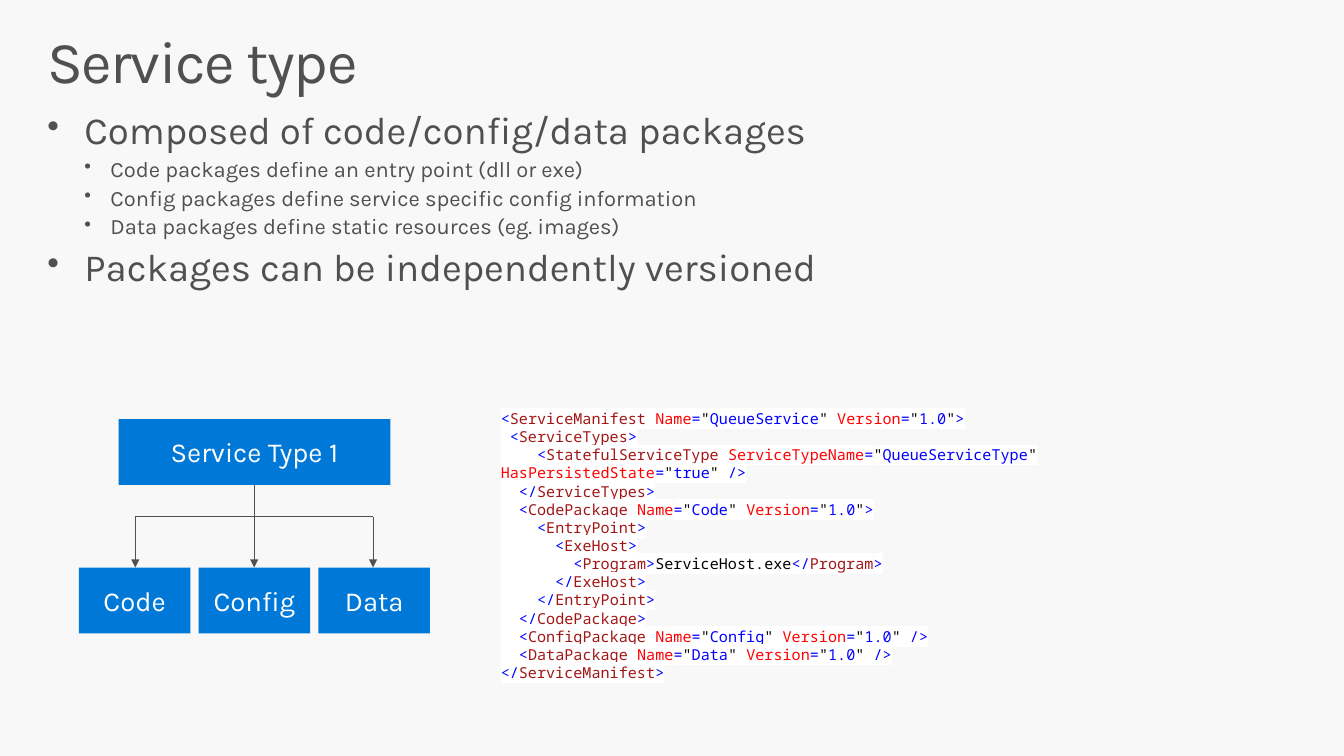
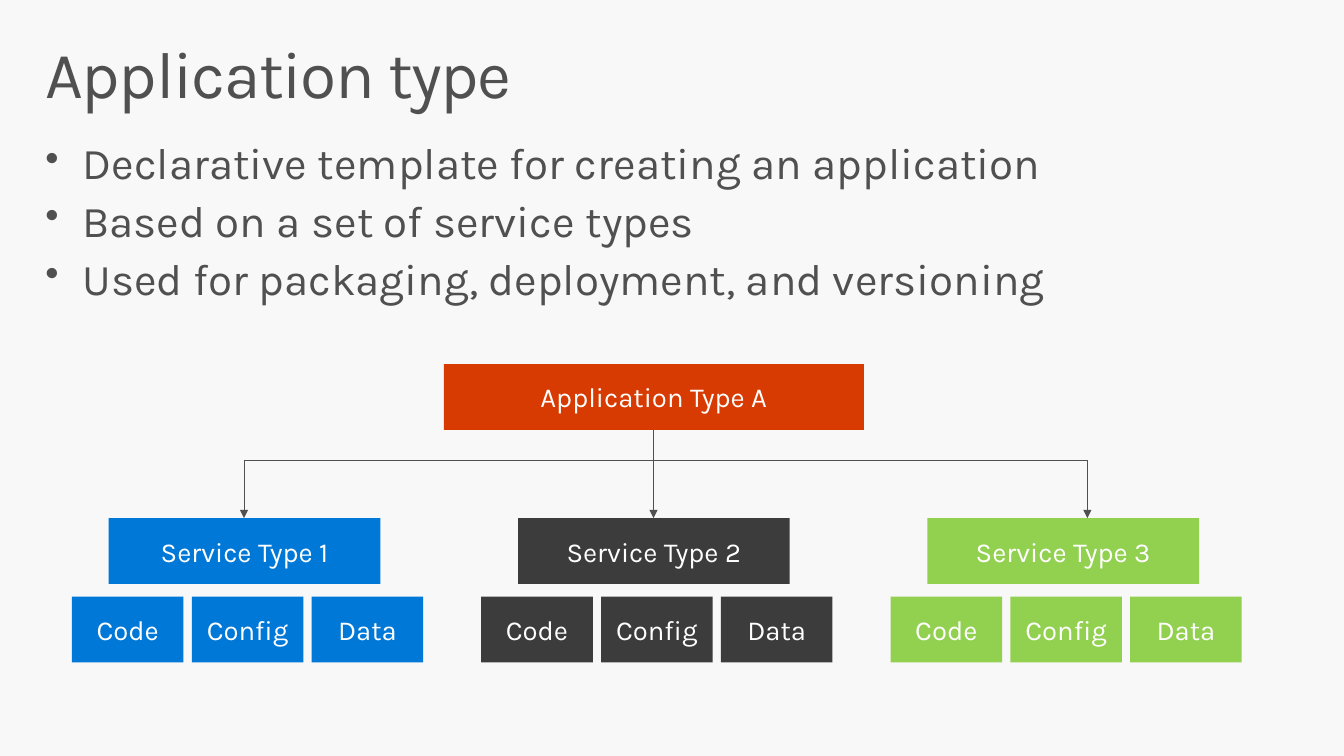
from itertools import groupby

from lxml import etree
from pptx import Presentation
from pptx.dml.color import RGBColor
from pptx.enum.shapes import MSO_CONNECTOR, MSO_SHAPE
from pptx.enum.text import MSO_ANCHOR, PP_ALIGN
from pptx.oxml.ns import qn
from pptx.util import Pt

RECTANGLE = MSO_SHAPE.RECTANGLE
STRAIGHT = MSO_CONNECTOR.STRAIGHT
MIDDLE = MSO_ANCHOR.MIDDLE
CENTER = PP_ALIGN.CENTER

COLORS = {
    "background": "F8F8F8", "ink": "505050", "white": "FFFFFF",
    "blue": "0078D7", "orange": "D83B01", "charcoal": "3C3C3C", "green": "92D050",
    # Syntax colours
    "markup": "0000FF", "element": "A31515", "attribute": "FF0000", "text": "000000",
}
FONT, CODE_FONT = "Karla", "Noto Sans Mono"
BLANK_LAYOUT = 6
BOX_HEIGHT = 48
SERVICE_WIDTH, PACKAGE_WIDTH, PACKAGE_GAP = 198, 81.3, 6
PACKAGES = ["Code", "Config", "Data"]
PLACEHOLDER_INSETS = (11.5, 7.2)
# Bullet level: (left margin, first-line indent)
BULLET_INDENTS = [(27, -27), (46, -19)]

MANIFEST = """\
<ServiceManifest Name="QueueService" Version="1.0">
 <ServiceTypes>
    <StatefulServiceType ServiceTypeName="QueueServiceType" HasPersistedState="true" />
  </ServiceTypes>
  <CodePackage Name="Code" Version="1.0">
    <EntryPoint>
      <ExeHost>
        <Program>ServiceHost.exe</Program>
      </ExeHost>
    </EntryPoint>
  </CodePackage>
  <ConfigPackage Name="Config" Version="1.0" />
  <DataPackage Name="Data" Version="1.0" />
</ServiceManifest>"""


def rgb(name):
    return RGBColor.from_string(COLORS[name])


def add_run(paragraph, text, size, color="ink", font=FONT, spacing=None, highlight=None):
    run = paragraph.add_run()
    run.text = text
    run.font.name = font
    run.font.size = Pt(size)
    run.font.color.rgb = rgb(color)
    properties = run.font._element
    if spacing is not None:
        properties.set("spc", str(spacing * 100))
    if highlight:
        mark = etree.Element(qn("a:highlight"))
        etree.SubElement(mark, qn("a:srgbClr")).set("val", COLORS[highlight])
        properties.find(qn("a:solidFill")).addnext(mark)


def set_insets(frame, horizontal, vertical):
    frame.word_wrap = True
    frame.margin_left = frame.margin_right = Pt(horizontal)
    frame.margin_top = frame.margin_bottom = Pt(vertical)


def add_text_frame(slide, left, top, width, height, insets=PLACEHOLDER_INSETS):
    shape = slide.shapes.add_textbox(Pt(left), Pt(top), Pt(width), Pt(height))
    set_insets(shape.text_frame, *insets)
    return shape.text_frame


def add_paragraphs(frame, count):
    return [frame.paragraphs[0]] + [frame.add_paragraph() for _ in range(count - 1)]


def add_slide(presentation):
    slide = presentation.slides.add_slide(presentation.slide_layouts[BLANK_LAYOUT])
    fill = slide.background.fill
    fill.solid()
    fill.fore_color.rgb = rgb("background")
    return slide


def add_title(slide, text, left, top, width, height, size):
    paragraph = add_text_frame(slide, left, top, width, height).paragraphs[0]
    paragraph.line_spacing = 0.9
    add_run(paragraph, text, size, spacing=-1)


def add_bullets(slide, items, left, top, width, height, sizes):
    """Items are (level, text); sizes gives the text size of each level."""
    frame = add_text_frame(slide, left, top, width, height)
    for paragraph, (level, text) in zip(add_paragraphs(frame, len(items)), items):
        size = sizes[level]
        paragraph.level = level
        paragraph.line_spacing = 0.9
        paragraph.space_before = Pt(round(size * 0.234, 1))
        margin, indent = BULLET_INDENTS[level]
        properties = paragraph._p.get_or_add_pPr()
        properties.set("marL", str(Pt(margin)))
        properties.set("indent", str(Pt(indent)))
        etree.SubElement(properties, qn("a:buSzPct")).set("val", "90000")
        etree.SubElement(properties, qn("a:buChar")).set("char", "•")
        add_run(paragraph, text, size)


def syntax_colors(line):
    """Yield (character, colour name) for one line of XML."""
    mode = "text"
    for character in line:
        if character == '"':
            mode = "attribute" if mode == "markup" else "markup"
            yield character, "text"
        elif mode == "markup":
            yield character, "markup"
        elif character in "</>= ":
            if character == "<":
                mode = "element"
            elif character == ">":
                mode = "text"
            elif character == " " and mode == "element":
                mode = "attribute"
            yield character, "markup"
        else:
            yield character, mode


def add_code(slide, code, left, top, width, height):
    frame = add_text_frame(slide, left, top, width, height, insets=(7.2, 3.6))
    lines = code.splitlines()
    for paragraph, line in zip(add_paragraphs(frame, len(lines)), lines):
        for color, pairs in groupby(syntax_colors(line), key=lambda pair: pair[1]):
            token = "".join(character for character, _ in pairs)
            add_run(paragraph, token, 11, color, CODE_FONT, highlight="white")


def add_box(slide, text, center, top, width, color):
    shape = slide.shapes.add_shape(
        RECTANGLE, Pt(center - width / 2), Pt(top), Pt(width), Pt(BOX_HEIGHT))
    shape.shadow.inherit = False
    shape.fill.solid()
    shape.fill.fore_color.rgb = rgb(color)
    shape.line.fill.background()
    set_insets(shape.text_frame, 0, 3.6)
    shape.text_frame.vertical_anchor = MIDDLE
    paragraph = shape.text_frame.paragraphs[0]
    paragraph.alignment = CENTER
    add_run(paragraph, text, 20, "white")


def add_package_row(slide, center, top, color):
    for position, name in enumerate(PACKAGES, start=-1):
        add_box(slide, name, center + position * (PACKAGE_WIDTH + PACKAGE_GAP),
                top, PACKAGE_WIDTH, color)


def add_line(slide, start, end, arrow=False):
    connector = slide.shapes.add_connector(
        STRAIGHT, *(Pt(value) for value in (*start, *end)))
    connector.line.color.rgb = rgb("ink")
    connector.line.width = Pt(0.75)
    if arrow:
        outline = connector.line._get_or_add_ln()
        etree.SubElement(outline, qn("a:tailEnd")).set("type", "triangle")
    etree.SubElement(connector._element.spPr, qn("a:effectLst"))


def add_tree_lines(slide, arrow_positions, stem_top, bus_top, tip_top):
    """Draw a stem, a horizontal bus and one arrow down to each child."""
    first, middle, last = arrow_positions
    add_line(slide, (middle, stem_top), (middle, bus_top))
    add_line(slide, (first, bus_top), (last, bus_top))
    for x in arrow_positions:
        add_line(slide, (x, bus_top), (x, tip_top), arrow=True)


def build_service_slide(presentation):
    slide = add_slide(presentation)
    add_bullets(slide, [
        (0, "Composed of code/config/data packages"),
        (1, "Code packages define an entry point (dll or exe)"),
        (1, "Config packages define service specific config information"),
        (1, "Data packages define static resources (eg. images)"),
        (0, "Packages can be independently versioned"),
    ], 23, 74.2, 938, 146, sizes=(28, 16))
    add_title(slide, "Service type", 23, 16, 881, 60, size=43.2)
    add_code(slide, MANIFEST, 357.8, 294.8, 540, 207)

    # Service and its packages
    center, top, package_top = 185.4, 305.3, 413.5
    add_box(slide, "Service Type 1", center, top, SERVICE_WIDTH, "blue")
    add_package_row(slide, center, package_top, "blue")
    add_tree_lines(slide, (98.6, 185.2, 271.8), top + BOX_HEIGHT, 376.6, package_top)


def build_application_slide(presentation):
    slide = add_slide(presentation)
    add_bullets(slide, [
        (0, "Declarative template for creating an application"),
        (0, "Based on a set of service types"),
        (0, "Used for packaging, deployment, and versioning"),
    ], 21.6, 96, 936, 135, sizes=(32,))
    add_title(slide, "Application type", 21.6, 23, 936, 72, size=48)

    # Application, its services and their packages
    first_center, pitch = 178.2, 298.2
    top, service_top, package_top = 265.2, 377.5, 434.6
    middle = first_center + pitch
    add_box(slide, "Application Type A", middle, top, 306, "orange")
    for index, color in enumerate(("blue", "charcoal", "green")):
        center = first_center + index * pitch
        add_box(slide, f"Service Type {index + 1}", center, service_top,
                SERVICE_WIDTH, color)
        add_package_row(slide, center + 2.2, package_top, color)
    add_tree_lines(slide, (177.8, 476.1, 792.2), top + BOX_HEIGHT, 335.5, service_top)


def main():
    presentation = Presentation()
    presentation.slide_width = Pt(979.2)
    presentation.slide_height = Pt(550.8)
    build_service_slide(presentation)
    build_application_slide(presentation)
    presentation.save("out.pptx")


if __name__ == "__main__":
    main()
